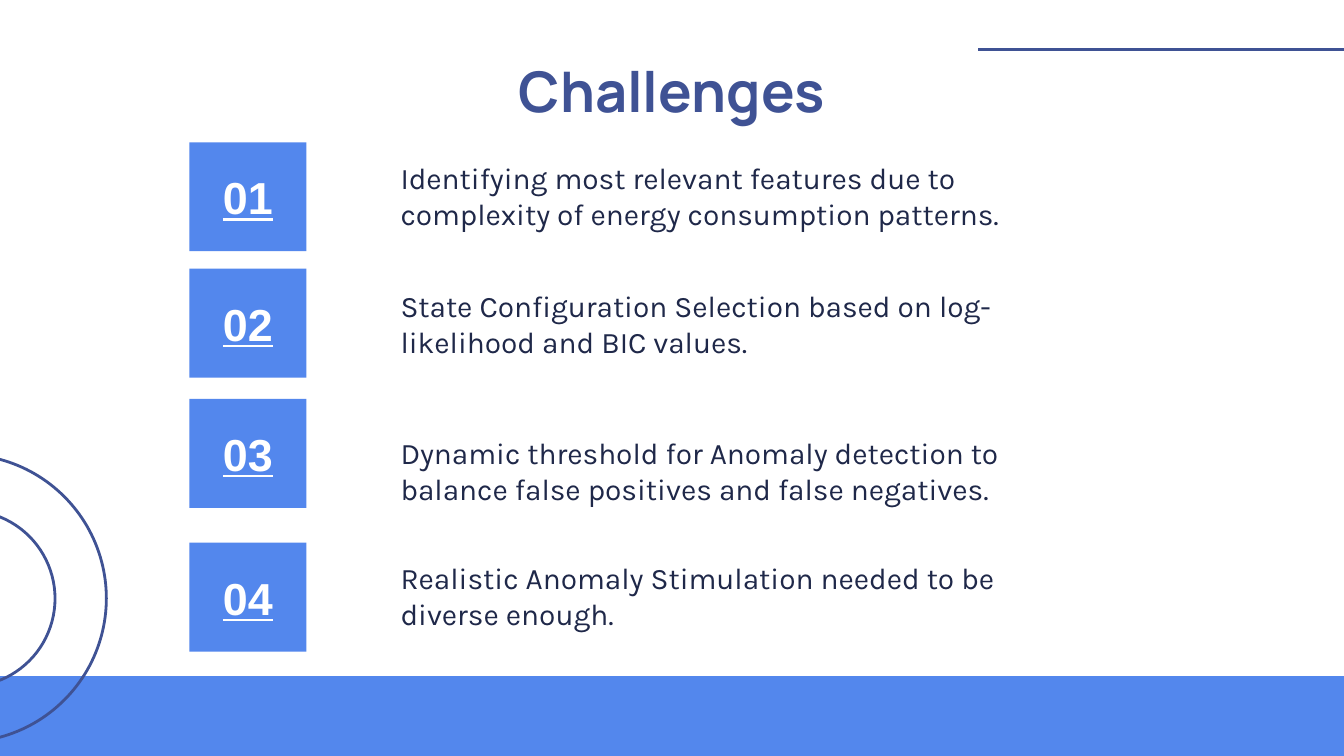
from lxml import etree
from pptx import Presentation
from pptx.dml.color import RGBColor
from pptx.enum import shapes, text
from pptx.oxml.ns import qn
from pptx.util import Cm, Pt

BLUE, NAVY, INK, WHITE = "5387ED", "3F5294", "1F2849", "FFFFFF"

TITLE = "Challenges"
# number, top of its tile, top of its statement (cm), statement
CHALLENGES = [
    ("01", 2.69, 2.9, "Identifying most relevant features due to complexity of energy consumption patterns."),
    ("02", 5.08, 5.31, "State Configuration Selection based on log-likelihood and BIC values."),
    ("03", 7.54, 8.1, "Dynamic threshold for Anomaly detection to balance false positives and false negatives."),
    ("04", 10.26, 10.46, "Realistic Anomaly Stimulation needed to be diverse enough."),
]
# left, top, diameter (cm)
RINGS = [(-3.43, 8.59, 5.44), (-2.29, 9.65, 3.33)]

TITLE_FONT = dict(name="Manrope", size=Pt(30), bold=True)
NUMBER_FONT = dict(name="Arial", size=Pt(24), bold=True, underline=True)
STATEMENT_FONT = dict(name="Karla", size=Pt(16))

SLIDE_W, SLIDE_H = 25.4, 14.29
BAND_TOP = 12.78
TILE_LEFT, TILE_W, TILE_H = 3.58, 2.21, 2.06
STATEMENT_LEFT, STATEMENT_W, STATEMENT_H = 7.32, 13.44, 1.63


def rgb(value):
    return RGBColor.from_string(value)


def cm(*lengths):
    return [Cm(length) for length in lengths]


def outline(line):
    line.color.rgb = rgb(NAVY)
    line.width = Pt(1.5)


def write(frame, words, font, color, align, anchor):
    frame.word_wrap = True
    frame.vertical_anchor = anchor
    paragraph = frame.paragraphs[0]
    paragraph.alignment = align
    run = paragraph.add_run()
    run.text = words
    for key, value in font.items():
        setattr(run.font, key, value)
    run.font.color.rgb = rgb(color)


def add_figure(slide, kind, box, fill=None):
    """Add a filled shape without a line, or an outlined one without a fill."""
    figure = slide.shapes.add_shape(kind, *cm(*box))
    figure.shadow.inherit = False
    if fill:
        figure.fill.solid()
        figure.fill.fore_color.rgb = rgb(fill)
        figure.line.fill.background()
    else:
        figure.fill.background()
        outline(figure.line)
    return figure


def add_decoration(slide):
    add_figure(slide, shapes.MSO_SHAPE.RECTANGLE,
               (0, BAND_TOP, SLIDE_W, SLIDE_H - BAND_TOP), BLUE)
    for left, top, diameter in RINGS:
        add_figure(slide, shapes.MSO_SHAPE.OVAL, (left, top, diameter, diameter))
    rule = slide.shapes.add_connector(
        shapes.MSO_CONNECTOR.STRAIGHT, *cm(18.49, 0.93, 26.87, 0.93))
    outline(rule.line)
    etree.SubElement(rule._element.spPr, qn("a:effectLst"))


def add_title(slide):
    title = slide.shapes.title
    title.left, title.top, title.width, title.height = cm(0, 0.81, SLIDE_W, 1.6)
    frame = title.text_frame
    for side in ("left", "top", "right", "bottom"):
        setattr(frame, "margin_" + side, Cm(0.25))
    write(frame, TITLE, TITLE_FONT, NAVY, text.PP_ALIGN.CENTER, text.MSO_ANCHOR.TOP)


def add_challenge(slide, number, tile_top, statement_top, statement):
    tile = add_figure(slide, shapes.MSO_SHAPE.RECTANGLE,
                      (TILE_LEFT, tile_top, TILE_W, TILE_H), BLUE)
    write(tile.text_frame, number, NUMBER_FONT, WHITE,
          text.PP_ALIGN.CENTER, text.MSO_ANCHOR.MIDDLE)
    box = slide.shapes.add_textbox(
        *cm(STATEMENT_LEFT, statement_top, STATEMENT_W, STATEMENT_H))
    write(box.text_frame, statement, STATEMENT_FONT, INK,
          text.PP_ALIGN.LEFT, text.MSO_ANCHOR.TOP)
    box.text_frame.auto_size = text.MSO_AUTO_SIZE.SHAPE_TO_FIT_TEXT


def main():
    deck = Presentation()
    deck.slide_width, deck.slide_height = cm(SLIDE_W, SLIDE_H)
    slide = deck.slides.add_slide(deck.slide_layouts[5])
    add_decoration(slide)
    add_title(slide)
    for challenge in CHALLENGES:
        add_challenge(slide, *challenge)
    deck.save("out.pptx")


if __name__ == "__main__":
    main()
